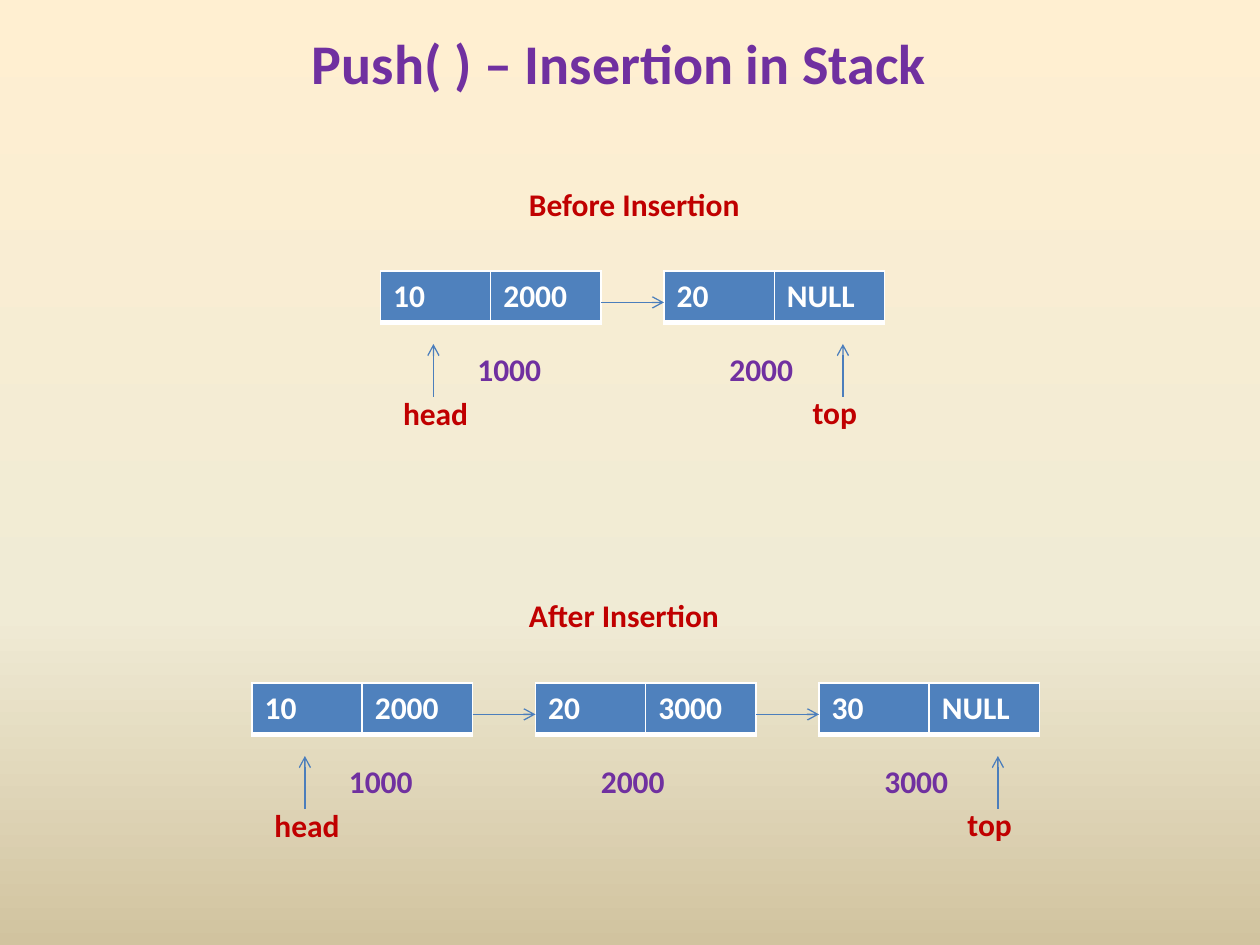
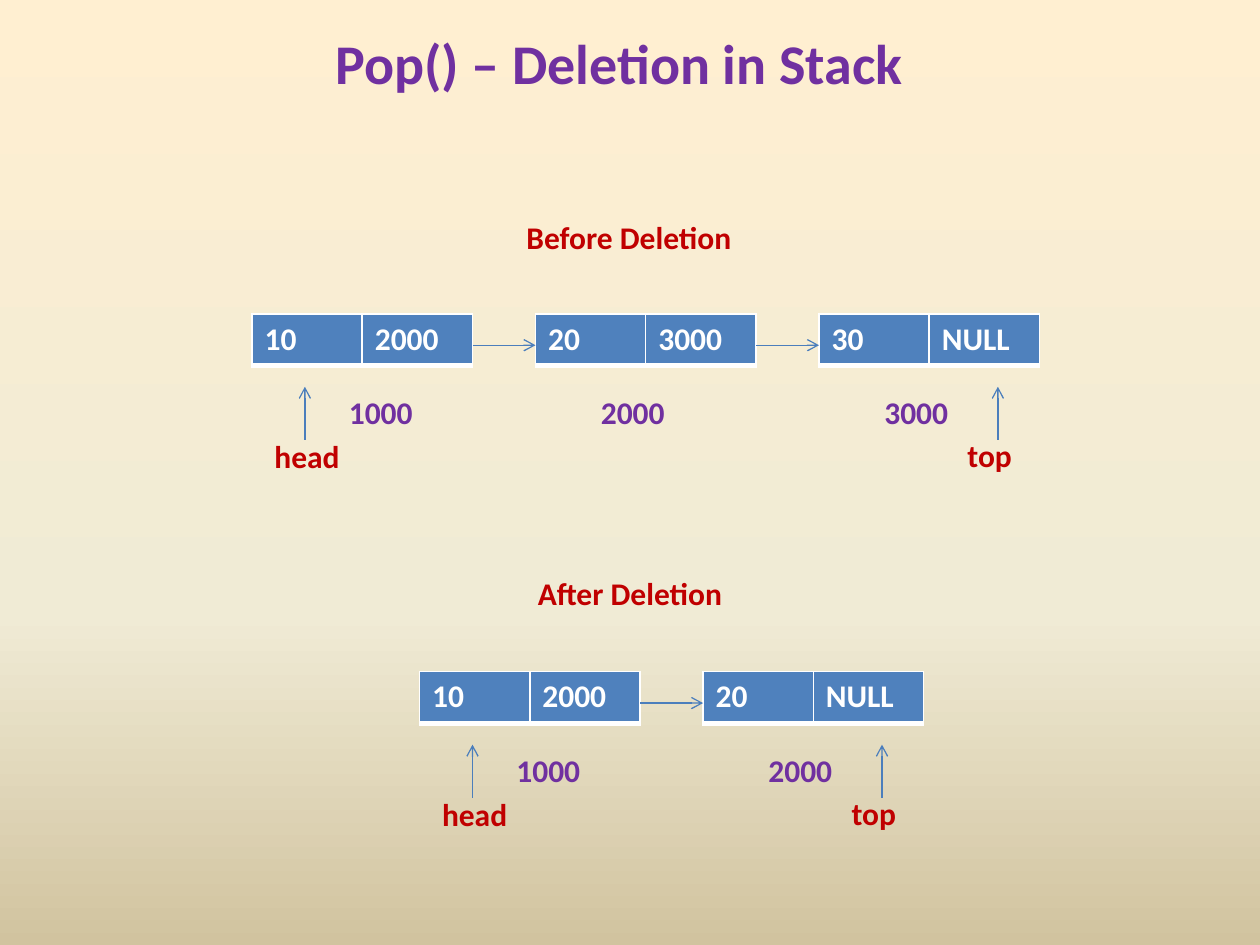
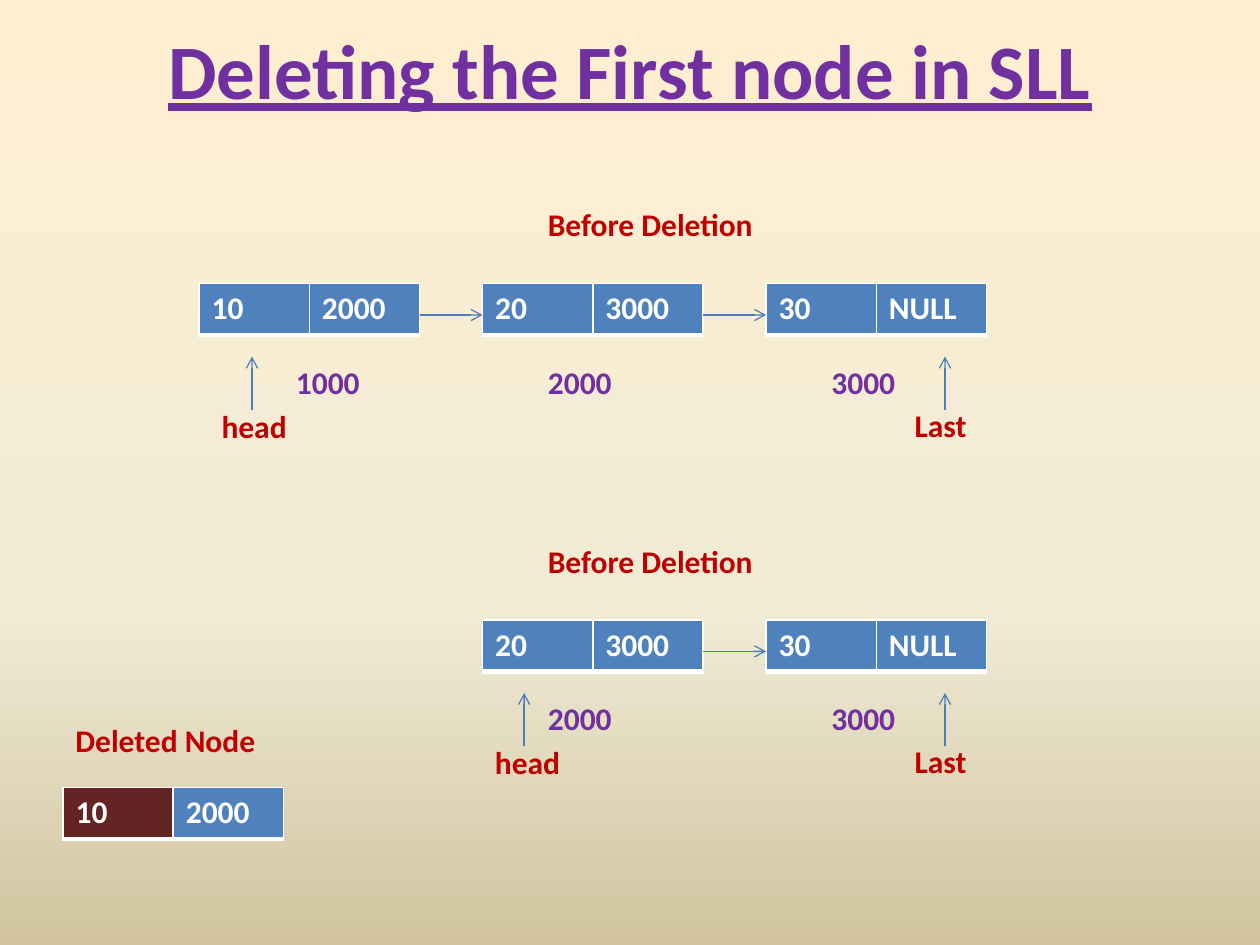
"""Build three slides on inserting and deleting nodes in linked lists."""
from copy import deepcopy

from pptx import Presentation
from pptx.dml.color import RGBColor
from pptx.enum import shapes, text
from pptx.oxml import parse_xml
from pptx.oxml.ns import nsdecls
from pptx.util import Inches, Pt

FONT = "Calibri"
PURPLE = RGBColor(0x70, 0x30, 0xA0)
RED = RGBColor(0xC0, 0x00, 0x00)
WHITE = RGBColor(0xFF, 0xFF, 0xFF)
BLUE = RGBColor(0x4F, 0x81, 0xBD)
MAROON = RGBColor(0x63, 0x25, 0x23)
ARROW = RGBColor(0x4B, 0x7E, 0xBC)
BACKDROP = [(0, RGBColor(0xFF, 0xEF, 0xD1)), (0.65, RGBColor(0xF0, 0xEB, 0xD5)),
            (1, RGBColor(0xD1, 0xC3, 0x9F))]
BORDERS = {"lnL": 1, "lnR": 1, "lnT": 1, "lnB": 3}

NODE_WIDTH, NODE_HEIGHT, NODE_PITCH = 1.75, 0.41, 2.25
LABEL_WIDTH, LABEL_HEIGHT = 0.92, 0.4

TWO_NODES = [("1000", "10", "2000"), ("2000", "20", "NULL")]
THREE_NODES = [("1000", "10", "2000"), ("2000", "20", "3000"), ("3000", "30", "NULL")]
LAST_TWO = THREE_NODES[1:]

SMALL_TITLE = {"area": (0.5, 0.17, 8.83, 0.64), "size": 32, "underline": False}
LARGE_TITLE = {"area": (0.5, -0.08, 9, 1.25), "size": 44, "underline": True}

SLIDES = [
    {"title": "Push( ) – Insertion in Stack", "style": SMALL_TITLE, "end": "top",
     "captions": [("Before Insertion", 4.1, 1.42), ("After Insertion", 4.1, 4.68)],
     "lists": [(TWO_NODES, 3.02, 2.15), (THREE_NODES, 2, 5.42)]},
    {"title": "Pop() – Deletion in Stack", "style": SMALL_TITLE, "end": "top",
     "captions": [("Before Deletion", 4.08, 1.68), ("After Deletion", 4.17, 4.51)],
     "lists": [(THREE_NODES, 2, 2.49), (TWO_NODES, 3.33, 5.33)]},
    {"title": "Deleting the First node in SLL", "style": LARGE_TITLE, "end": "Last",
     "captions": [("Before Deletion", 4.25, 1.58), ("Before Deletion", 4.25, 4.25),
                  ("Deleted Node", 0.5, 5.67)],
     "lists": [(THREE_NODES, 1.58, 2.25), (LAST_TWO, 3.83, 4.92)],
     "deleted": ("10", "2000", 0.5, 6.25)},
]


def write(para, words, color, size=18, underline=None):
    span = para.add_run()
    span.text = words
    font = span.font
    font.name, font.size, font.bold, font.underline = FONT, Pt(size), True, underline
    font.color.rgb = color


def add_label(page, words, left, top, color=RED, width=LABEL_WIDTH):
    box = page.shapes.add_textbox(*map(Inches, (left, top, width, LABEL_HEIGHT)))
    box.text_frame.word_wrap = True
    write(box.text_frame.paragraphs[0], words, color)


def add_arrow(page, *ends):
    arrow = page.shapes.add_connector(shapes.MSO_CONNECTOR.STRAIGHT, *map(Inches, ends))
    arrow.line.color.rgb = ARROW
    arrow.line.width = Pt(0.75)
    arrow.get_or_add_ln().append(parse_xml(f'<a:tailEnd {nsdecls("a")} type="arrow"/>'))
    arrow.element.spPr.append(parse_xml(f'<a:effectLst {nsdecls("a")}/>'))


def add_node(page, values, left, top, first_fill=BLUE):
    frame = page.shapes.add_table(
        1, 2, *map(Inches, (left, top, NODE_WIDTH, NODE_HEIGHT)))
    for cell, value, fill in zip(frame.table.iter_cells(), values, (first_fill, BLUE)):
        cell.fill.solid()
        cell.fill.fore_color.rgb = fill
        write(cell.text_frame.paragraphs[0], value, WHITE)
    for properties in frame.element.xpath(".//a:tcPr"):
        for index, (side, width) in enumerate(BORDERS.items()):
            properties.insert(index, parse_xml(
                f'<a:{side} {nsdecls("a")} w="{Pt(width)}"><a:solidFill>'
                f'<a:srgbClr val="{WHITE}"/></a:solidFill></a:{side}>'))


def add_pointer(page, name, arrow_x, label_x, label_y, top):
    add_arrow(page, arrow_x, top + 1, arrow_x, top + 0.58)
    add_label(page, name, label_x, label_y)


def add_linked_list(page, nodes, left, top, end_name):
    starts_at_head = nodes[0][0] == "1000"
    for index, (address, *values) in enumerate(nodes):
        node_left = left + index * NODE_PITCH
        add_node(page, values, node_left, top)
        if index:
            add_arrow(page, node_left - NODE_PITCH + NODE_WIDTH, top + 0.25,
                      node_left, top + 0.25)
        shift = 0.67 if address == "1000" else 0.42
        add_label(page, address, node_left + shift, top + 0.58, PURPLE)
    head_arrow, head_label = (0.42, 0.08) if starts_at_head else (0.33, 0)
    add_pointer(page, "head", left + head_arrow, left + head_label, top + 0.93, top)
    add_pointer(page, end_name, node_left + 1.42, node_left + 1.08, top + 0.92, top)


def add_title(page, words, style):
    title = page.shapes.title
    title.left, title.top, title.width, title.height = map(Inches, style["area"])
    frame = title.text_frame
    frame.auto_size = text.MSO_AUTO_SIZE.NONE
    frame.vertical_anchor = text.MSO_ANCHOR.MIDDLE
    para = frame.paragraphs[0]
    para.alignment = text.PP_ALIGN.CENTER
    write(para, words, PURPLE, style["size"], style["underline"])


def paint_background(master):
    fill = master.background.fill
    fill.gradient()
    fill.gradient_angle = 270
    stops = master.element.xpath(".//p:bg//a:gsLst")[0]
    stops.append(deepcopy(stops[-1]))
    for stop, (position, color) in zip(fill.gradient_stops, BACKDROP):
        stop.position = position
        stop.color.rgb = color


def main():
    deck = Presentation()
    deck.slide_width, deck.slide_height = Inches(10), Inches(7.5)
    paint_background(deck.slide_master)
    for content in SLIDES:
        page = deck.slides.add_slide(deck.slide_layouts[5])
        add_title(page, content["title"], content["style"])
        for nodes, left, top in content["lists"]:
            add_linked_list(page, nodes, left, top, content["end"])
        for caption, left, top in content["captions"]:
            add_label(page, caption, left, top, width=2.33)
        if "deleted" in content:
            *values, left, top = content["deleted"]
            add_node(page, values, left, top, MAROON)
    deck.save("out.pptx")


if __name__ == "__main__":
    main()
